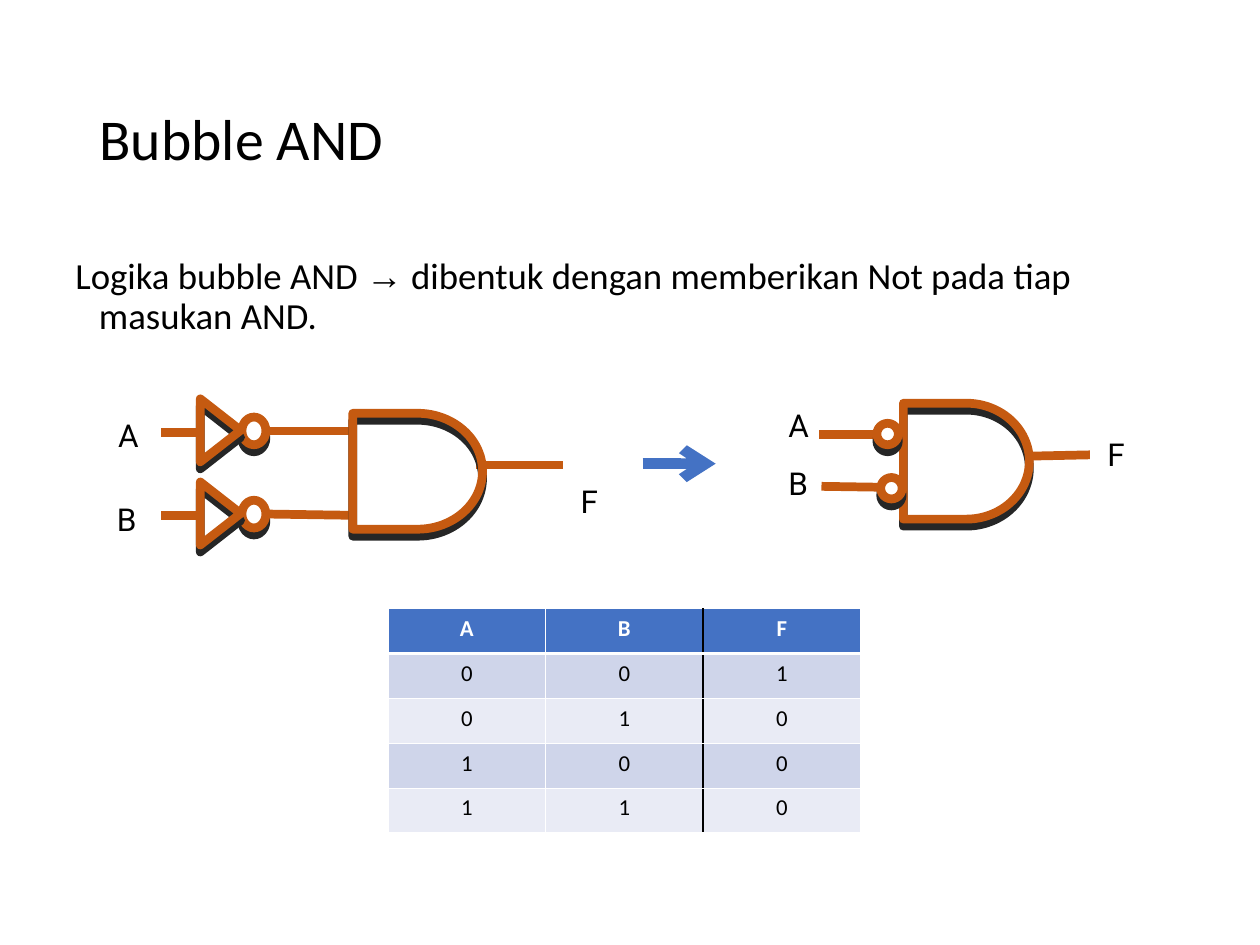
from lxml.etree import SubElement
from pptx import Presentation
from pptx.dml.color import RGBColor as RGB
from pptx.enum.shapes import MSO_CONNECTOR as Connector, MSO_SHAPE as Shape
from pptx.enum.text import MSO_ANCHOR as Anchor, MSO_AUTO_SIZE as AutoSize, PP_ALIGN as Align
from pptx.oxml.ns import qn
from pptx.util import Pt


class Theme:
    text, white = "000000", "FFFFFF"
    gate, shadow, accent = "C55A11", "262626", "4472C4"
    bands = ("CFD5EA", "E9EBF5")
    font, label_font, symbol_font = "Calibri", "Roboto", "Arial"
    title_size, body_size, label_size, table_size = 33, 21, 18, 13
    gate_line, arrow_line, thin, thick = 5, 6, 0.45, 1.47


TITLE = "Bubble AND"
EXPLANATION = [
    ("Logika bubble AND ", Theme.font),
    ("→", Theme.symbol_font),
    (" dibentuk dengan memberikan Not pada tiap masukan AND.", Theme.font),
]
TRUTH_TABLE = ["ABF", "001", "010", "100", "110"]

BUBBLE_GATE = (516.24, 230.4, 72, 66.24)
BUBBLE_WIRES = [
    (622.8, 259.92, 589.68, 260.64),
    (468, 248.4, 516.24, 248.4),
    (469.44, 277.92, 516.24, 278.64),
]
BUBBLES = [(501.12, 241.92), (503.28, 272.88)]
BUBBLE_SIZE = 12.24
BUBBLE_LABELS = [("A", 443.52, 228.24), ("B", 443.52, 261.36), ("F", 625.68, 244.8)]

AND_GATE = (201.6, 236.16, 74.16, 66.24)
AND_WIRES = [
    (272.16, 265.68, 321.84, 265.68),
    (152.64, 246.24, 201.6, 246.24),
    (154.08, 293.76, 201.6, 294.48),
]
AND_LABELS = [("A", 60.48, 234), ("B", 59.76, 282.24), ("F", 324.72, 272.16)]
INVERTER_TOPS = [285.84, 238.32]
ARROW = (367.2, 264.96, 408.96, 264.96)
TABLE_BOX = (221.76, 347.76, 270, 128.16)

deck = Presentation()
deck.slide_width, deck.slide_height = Pt(720), Pt(540)
slide = deck.slides.add_slide(deck.slide_layouts[5])
shapes = slide.shapes


def style(font, size, name=Theme.font, color=Theme.text, bold=False):
    font.size, font.name, font.bold = Pt(size), name, bold
    font.color.rgb = RGB.from_string(color)


def add_part(kind, left, top, width, height, fill=None, rotation=0):
    part = shapes.add_shape(kind, Pt(left), Pt(top), Pt(width), Pt(height))
    part.rotation = rotation
    if fill:
        part.fill.solid()
        part.fill.fore_color.rgb = RGB.from_string(fill)
    else:
        part.fill.background()
    part.line.color.rgb = RGB.from_string(Theme.gate)
    part.line.width = Pt(Theme.gate_line)
    part.shadow.inherit = False
    effects = part._element.spPr.find(qn("a:effectLst"))
    shadow = SubElement(effects, qn("a:outerShdw"), dist=str(Pt(4)), dir="5400000", rotWithShape="0")
    SubElement(shadow, qn("a:srgbClr"), val=Theme.shadow)


def add_wire(x1, y1, x2, y2, color=Theme.gate, width=Theme.gate_line, arrow=False):
    wire = shapes.add_connector(Connector.STRAIGHT, Pt(x1), Pt(y1), Pt(x2), Pt(y2))
    wire.line.color.rgb = RGB.from_string(color)
    wire.line.width = Pt(width)
    if arrow:
        SubElement(wire.line._get_or_add_ln(), qn("a:tailEnd"), type="arrow")
    SubElement(wire._element.spPr, qn("a:effectLst"))


def add_label(letter, left, top):
    label = shapes.add_textbox(Pt(left), Pt(top), Pt(25.92), Pt(28.8)).text_frame
    label.word_wrap = False
    label.auto_size = AutoSize.SHAPE_TO_FIT_TEXT
    label.text = letter
    style(label.paragraphs[0].runs[0].font, Theme.label_size, Theme.label_font)


def add_inverter(top):
    add_part(Shape.OVAL, 138.24, top, 13.68, 15.84, Theme.white)
    add_part(Shape.ISOSCELES_TRIANGLE, 108, top - 3.92, 36, 23.04, rotation=90)
    add_wire(113.04, top + 8.64, 92.16, top + 8.64)


def set_border(cell, side, color, width):
    border = SubElement(cell._tc.get_or_add_tcPr(), qn(f"a:ln{side}"), w=str(Pt(width)))
    SubElement(SubElement(border, qn("a:solidFill")), qn("a:srgbClr"), val=color)


def add_truth_table():
    columns = len(TRUTH_TABLE[0])
    table = shapes.add_table(len(TRUTH_TABLE), columns, *map(Pt, TABLE_BOX)).table
    thin, thick = (Theme.white, Theme.thin), (Theme.white, Theme.thick)
    divider = (Theme.text, Theme.thick)
    for r, values in enumerate(TRUTH_TABLE):
        header = r == 0
        for c, value in enumerate(values):
            cell = table.cell(r, c)
            cell.text = value
            paragraph = cell.text_frame.paragraphs[0]
            paragraph.alignment = Align.CENTER
            style(paragraph.runs[0].font, Theme.table_size,
                  color=Theme.white if header else Theme.text, bold=header)
            set_border(cell, "L", *(divider if c == columns - 1 else thin))
            set_border(cell, "R", *(divider if c == columns - 2 else thin))
            set_border(cell, "T", *(thick if r == 1 else thin))
            set_border(cell, "B", *(thick if header else thin))
            cell.fill.solid()
            cell.fill.fore_color.rgb = RGB.from_string(
                Theme.accent if header else Theme.bands[(r - 1) % 2])


title = shapes.title
title.left, title.top, title.width, title.height = map(Pt, (49.68, 28.8, 621.36, 104.4))
heading = title.text_frame
heading.text = TITLE
heading.auto_size = AutoSize.NONE
heading.vertical_anchor = Anchor.MIDDLE
heading.paragraphs[0].alignment = Align.LEFT
heading.paragraphs[0].line_spacing = 0.9
style(heading.paragraphs[0].runs[0].font, Theme.title_size)

body = shapes.add_textbox(Pt(36), Pt(144), Pt(648), Pt(345.6)).text_frame
body.word_wrap = True
explanation = body.paragraphs[0]
explanation.line_spacing = 0.9
indent = Pt(13.5)
explanation._p.get_or_add_pPr().set("marL", str(indent))
explanation._p.get_or_add_pPr().set("indent", str(-indent))
for words, font_name in EXPLANATION:
    run = explanation.add_run()
    run.text = words
    style(run.font, Theme.body_size, font_name)

add_truth_table()

add_part(Shape.FLOWCHART_DELAY, *BUBBLE_GATE)
for wire in BUBBLE_WIRES:
    add_wire(*wire)
for left, top in BUBBLES:
    add_part(Shape.OVAL, left, top, BUBBLE_SIZE, BUBBLE_SIZE, Theme.white)

add_wire(*ARROW, color=Theme.accent, width=Theme.arrow_line, arrow=True)

for wire in AND_WIRES:
    add_wire(*wire)
add_part(Shape.FLOWCHART_DELAY, *AND_GATE)
for top in INVERTER_TOPS:
    add_inverter(top)
for label in BUBBLE_LABELS + AND_LABELS:
    add_label(*label)

deck.save("out.pptx")
